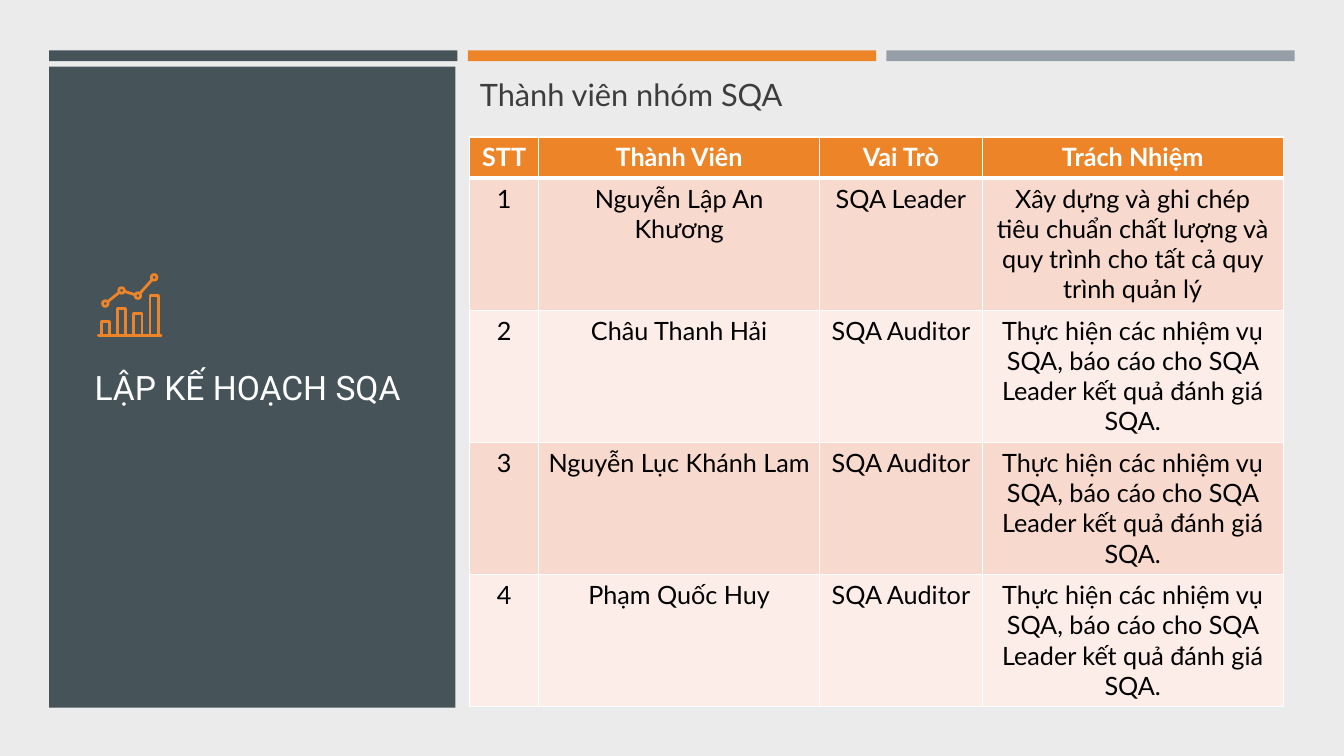
"""Build the SQA planning slide with its team table."""
from dataclasses import dataclass
from itertools import pairwise
from math import hypot

from lxml.etree import SubElement
from pptx import Presentation
from pptx.dml.color import RGBColor as Rgb
from pptx.enum.shapes import MSO_CONNECTOR as Link, MSO_SHAPE as Shape
from pptx.enum.text import MSO_ANCHOR as Anchor, MSO_AUTO_SIZE as Fit, PP_ALIGN as Align
from pptx.oxml.ns import qn
from pptx.util import Cm, Pt


@dataclass(frozen=True)
class Theme:
    """Colours, fonts and type sizes of the slide."""
    ground: str = "EBEBEB"
    slate: str = "465359"
    orange: str = "ED8428"
    grey: str = "969FA7"
    ink: str = "3D3D3D"
    black: str = "000000"
    white: str = "FFFFFF"
    bands: tuple = ("F8D9CD", "FCEDE8")
    title_font: str = "Roboto"
    body_font: str = "Lato"
    title_size: int = 24
    body_size: int = 22
    table_size: int = 18
    icon_stroke: int = 2


MEMBERS_HEADING = "Thành viên nhóm SQA"
AUDITOR = "SQA Auditor"
AUDITOR_DUTY = "Thực hiện các nhiệm vụ SQA, báo cáo cho SQA Leader kết quả đánh giá SQA."
MEMBERS = [
    ("STT", "Thành Viên", "Vai Trò", "Trách Nhiệm"),
    ("1", "Nguyễn Lập An Khương", "SQA Leader",
     "Xây dựng và ghi chép tiêu chuẩn chất lượng và quy trình cho tất cả quy trình quản lý"),
    ("2", "Châu Thanh Hải", AUDITOR, AUDITOR_DUTY),
    ("3", "Nguyễn Lục Khánh Lam", AUDITOR, AUDITOR_DUTY),
    ("4", "Phạm Quốc Huy", AUDITOR, AUDITOR_DUTY),
]


def write_text(frame, text, font, size, color, bold=False, align=Align.LEFT):
    """Fill a text frame with one formatted paragraph."""
    para = frame.paragraphs[0]
    para.alignment = align
    para.space_before = Pt(0)
    span = para.add_run()
    span.text = text
    span.font.name = font
    span.font.size = Pt(size)
    span.font.bold = bold
    span.font.color.rgb = Rgb.from_string(color)


class SlideBuilder:
    """Draw styled elements on the current page."""

    def __init__(self, page, theme):
        """Keep the page and theme and paint the background."""
        self.page = page
        self.theme = theme
        fill = page.background.fill
        fill.solid()
        fill.fore_color.rgb = Rgb.from_string(theme.ground)

    def block(self, left, top, width, height, color):
        """Add a plain filled rectangle."""
        box = self.page.shapes.add_shape(
            Shape.RECTANGLE, Cm(left), Cm(top), Cm(width), Cm(height))
        box.shadow.inherit = False
        box.fill.solid()
        box.fill.fore_color.rgb = Rgb.from_string(color)
        box.line.fill.background()

    def placeholder(self, index, area, text, anchor, **style):
        """Move a placeholder to the front and fill it without a bullet."""
        box = self.page.placeholders[index]
        self.page.shapes.element.append(box.element)
        box.left, box.top, box.width, box.height = map(Cm, area)
        frame = box.text_frame
        frame.word_wrap = True
        frame.auto_size = Fit.NONE
        frame.vertical_anchor = anchor
        properties = frame.paragraphs[0]._p.get_or_add_pPr()
        properties.set("marL", "0")
        properties.set("indent", "0")
        SubElement(properties, qn("a:buNone"))
        write_text(frame, text, **style)

    def outline(self, group, kind, left, top, width, height):
        """Add an unfilled icon part to a group."""
        part = group.shapes.add_shape(kind, Cm(left), Cm(top), Cm(width), Cm(height))
        part.shadow.inherit = False
        part.fill.background()
        self.stroke(part)

    def stroke(self, part):
        """Give an icon part its line."""
        part.line.color.rgb = Rgb.from_string(self.theme.orange)
        part.line.width = Pt(self.theme.icon_stroke)

    def segment(self, group, start, end):
        """Add a round-ended icon line to a group."""
        line = group.shapes.add_connector(Link.STRAIGHT, *map(Cm, (*start, *end)))
        self.stroke(line)
        line.line._get_or_add_ln().set("cap", "rnd")
        SubElement(line._element.spPr, qn("a:effectLst"))

    def chart_icon(self):
        """Draw the bars and the trend line above them."""
        group = self.page.shapes.add_group_shape()
        base, first, pitch, width, ring = 8.46, 2.55, 0.41, 0.21, 0.14
        self.segment(group, (2.48, base), (4.06, base))
        dots = []
        for index, (bar_top, dot_y) in enumerate(
                [(8.11, 7.65), (7.78, 7.32), (7.9, 7.45), (7.45, 6.99)]):
            left = first + index * pitch
            dot_x = left + width / 2
            self.outline(group, Shape.RECTANGLE, left, bar_top, width, base - bar_top)
            self.outline(group, Shape.OVAL, dot_x - ring / 2, dot_y - ring / 2, ring, ring)
            dots.append((dot_x, dot_y))
        for (x1, y1), (x2, y2) in pairwise(dots):
            trim = ring / 2 / hypot(x2 - x1, y2 - y1)
            dx, dy = (x2 - x1) * trim, (y2 - y1) * trim
            self.segment(group, (x1 + dx, y1 + dy), (x2 - dx, y2 - dy))

    def border(self, cell, **widths):
        """Set white cell borders by side, in points."""
        properties = cell._tc.get_or_add_tcPr()
        for side, width in widths.items():
            line = SubElement(properties, qn(f"a:ln{side}"), w=str(Pt(width)))
            fill = SubElement(line, qn("a:solidFill"))
            SubElement(fill, qn("a:srgbClr"), val=self.theme.white)

    def table(self, left, top, widths, heights, rows):
        """Add a banded table with a bold header row."""
        theme = self.theme
        grid = self.page.shapes.add_table(
            len(rows), len(widths), Cm(left), Cm(top),
            Cm(sum(widths)), Cm(sum(heights))).table
        for column, width in zip(grid.columns, widths):
            column.width = Cm(width)
        for number, (row, height, texts) in enumerate(zip(grid.rows, heights, rows)):
            row.height = Cm(height)
            header = number == 0
            band = theme.orange if header else theme.bands[(number - 1) % 2]
            for cell, text in zip(row.cells, texts):
                self.border(cell, L=1, R=1, T=3 if number == 1 else 1, B=3 if header else 1)
                cell.fill.solid()
                cell.fill.fore_color.rgb = Rgb.from_string(band)
                write_text(cell.text_frame, text, font=theme.body_font,
                           size=theme.table_size, bold=header, align=Align.CENTER,
                           color=theme.white if header else theme.black)


def main():
    """Build and save the deck."""
    theme = Theme()
    deck = Presentation()
    deck.slide_width, deck.slide_height = Cm(33.87), Cm(19.05)
    slide = SlideBuilder(deck.slides.add_slide(deck.slide_layouts[1]), theme)
    for index, color in enumerate((theme.slate, theme.orange, theme.grey)):
        slide.block(1.24 + index * 10.55, 1.27, 10.29, 0.27, color)
    slide.block(1.24, 1.68, 10.24, 16.15, theme.slate)
    slide.placeholder(1, (11.84, 1.78, 20.83, 1.68), MEMBERS_HEADING, Anchor.TOP,
                      font=theme.body_font, size=theme.body_size, color=theme.ink)
    slide.placeholder(0, (2.13, 7.37, 8.43, 4.78), "LẬP KẾ HOẠCH SQA", Anchor.MIDDLE,
                      font=theme.title_font, size=theme.title_size, color=theme.white)
    slide.chart_icon()
    slide.table(11.84, 3.45, (1.73, 7.09, 4.09, 7.59), (1.04,) + (3.33,) * 4, MEMBERS)
    deck.save("out.pptx")


if __name__ == "__main__":
    main()
